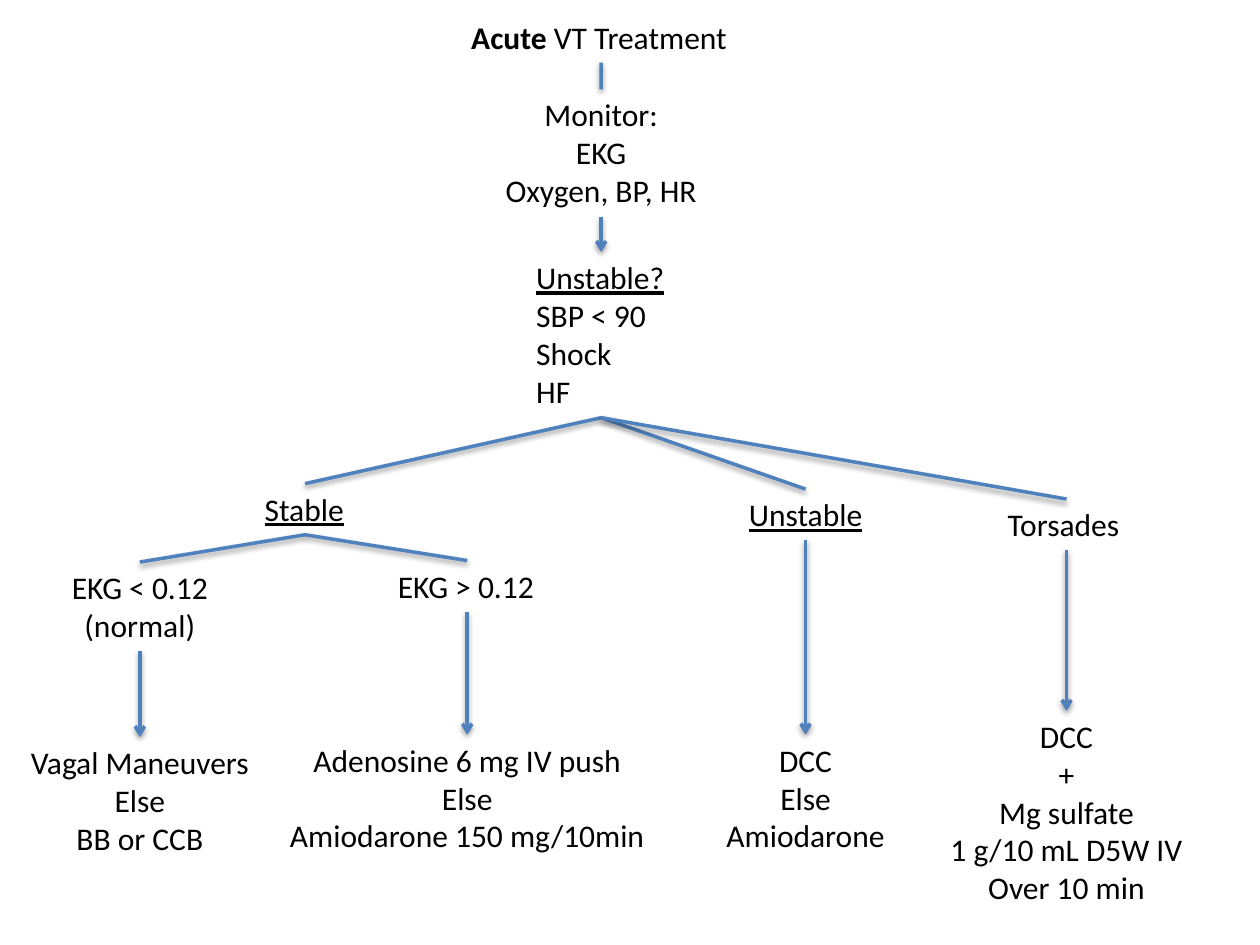
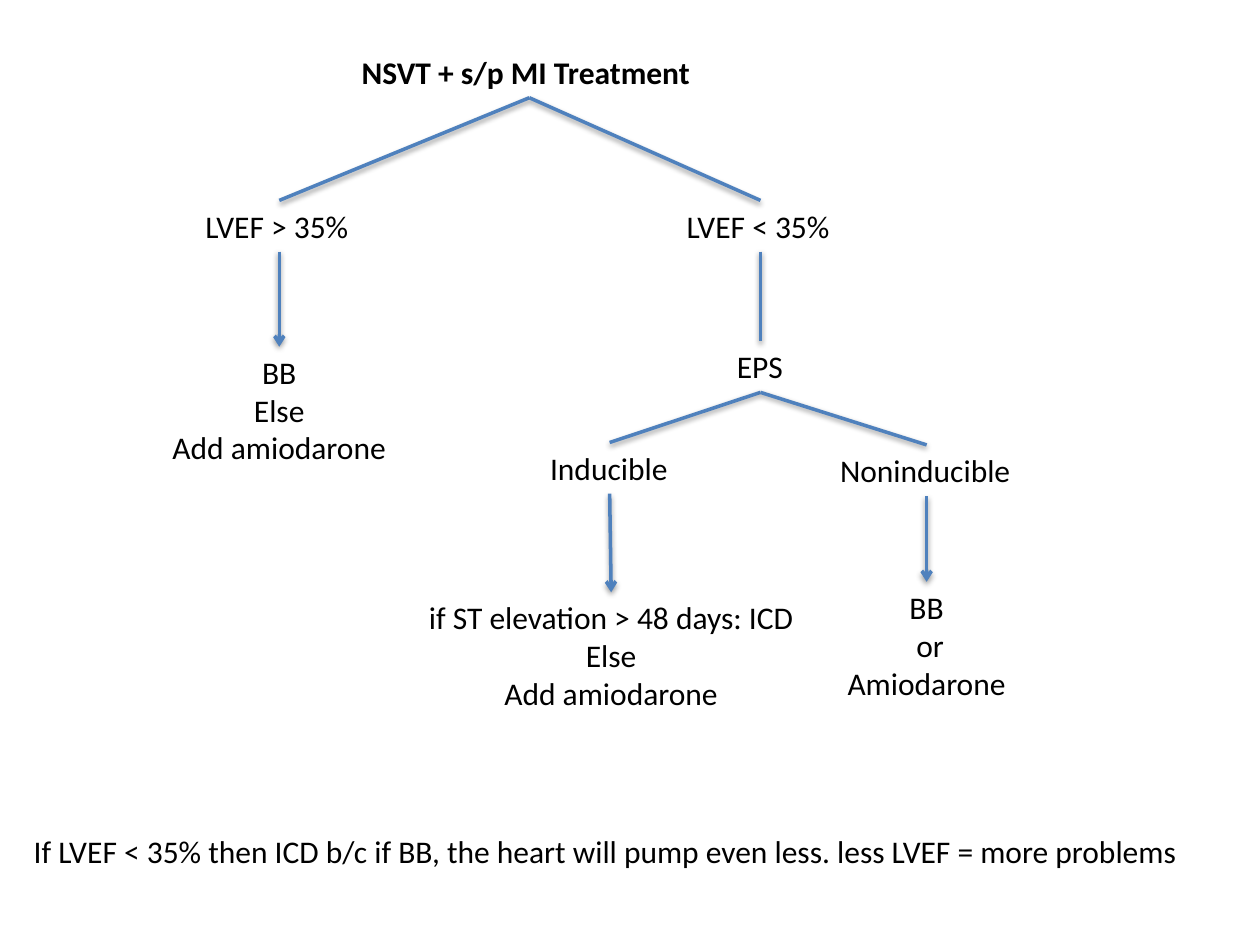
from dataclasses import dataclass

from lxml import etree
from pptx import Presentation
from pptx.dml.color import RGBColor
from pptx.enum.shapes import MSO_CONNECTOR
from pptx.enum.text import MSO_AUTO_SIZE, PP_ALIGN
from pptx.oxml.ns import qn
from pptx.util import Cm, Pt

LEFT, MID = PP_ALIGN.LEFT, PP_ALIGN.CENTER
GROW = MSO_AUTO_SIZE.SHAPE_TO_FIT_TEXT
STRAIGHT = MSO_CONNECTOR.STRAIGHT
TOP_SITE, LOW_SITE = 0, 2

FONT, SIZE = "Calibri", 18
INK, BLUE = "000000", "4F81BD"
PAD, ROW = 0.26, 0.77  # box height: padding plus text rows, in cm


@dataclass
class Node:
    """x is the centre and y the top, in cm from the root of the tree.

    Each line is a string, or a list of (text, marks) runs,
    where marks may hold b for bold and u for underline.
    """
    name: str
    x: float
    y: float
    width: float
    lines: list
    parent: str = ""
    arrow: bool = False
    align: int = MID


ACUTE = [
    Node("title", 0, 0, 5.74, [[("Acute", "b"), (" VT Treatment", "")]],
         align=LEFT),
    Node("monitor", 0, 1.57, 4.5, ["Monitor:", "EKG", "Oxygen, BP, HR"],
         "title"),
    Node("check", 0, 4.85, 3.12,
         [[("Unstable?", "u")], "SBP < 90", "Shock", "HF"],
         "monitor", True, LEFT),
    Node("stable", -5.97, 9.52, 2.13, [[("Stable", "u")]], "check",
         align=LEFT),
    Node("unstable", 4.12, 9.63, 2.84, [[("Unstable", "u")]], "check"),
    Node("torsades", 9.38, 9.83, 2.87, ["Torsades"], "check", align=LEFT),
    Node("narrow", -9.3, 11.1, 3.3, ["EKG < 0.12", "(normal)"], "stable"),
    Node("wide", -2.7, 11.07, 3.3, ["EKG > 0.12"], "stable", align=LEFT),
    Node("vagal", -9.3, 14.63, 5, ["Vagal Maneuvers", "Else", "BB or CCB"],
         "narrow", True),
    Node("drugs", -2.7, 14.58, 7.72,
         ["Adenosine 6 mg IV push", "Else", "Amiodarone 150 mg/10min"],
         "wide", True),
    Node("shock", 4.12, 14.58, 5.77, ["DCC", "Else", "Amiodarone"],
         "unstable", True),
    Node("sulfate", 9.38, 14.1, 5.21,
         ["DCC", "+", "Mg sulfate", "1 g/10 mL D5W IV", "Over 10 min"],
         "torsades", True),
]

POST_MI = [
    Node("title", 0, 0, 7.26, [[("NSVT + s/p MI Treatment", "b")]],
         align=LEFT),
    Node("high", -5.04, 3.1, 3.48, ["LVEF > 35%"], "title", align=LEFT),
    Node("low", 4.66, 3.1, 3.48, ["LVEF < 35%"], "title", align=LEFT),
    Node("block", -5.04, 6.05, 4.88, ["BB", "Else", "Add amiodarone"],
         "high", True),
    Node("study", 4.66, 5.94, 1.45, ["EPS"], "low", align=LEFT),
    Node("induce", 1.62, 7.98, 2.9, ["Inducible"], "study", align=LEFT),
    Node("none", 8.01, 8.03, 3.99, ["Noninducible"], "study", align=LEFT),
    Node("device", 1.65, 11, 7.98,
         ["if ST elevation > 48 days: ICD", "Else", "Add amiodarone"],
         "induce", True),
    Node("either", 8.01, 10.79, 3.73, ["BB", " or", "Amiodarone"],
         "none", True),
]

NOTE = ("If LVEF < 35% then ICD b/c if BB, the heart will pump even less. "
        "less LVEF = more problems")


def paint(target, code):
    target.rgb = RGBColor.from_string(code)


def write(slide, left, top, width, lines, align=LEFT, wrap=False):
    """Add a text box whose height follows from its lines."""
    box = slide.shapes.add_textbox(
        Cm(left), Cm(top), Cm(width), Cm(PAD + ROW * len(lines)))
    frame = box.text_frame
    frame.word_wrap = wrap
    frame.auto_size = GROW
    for i, line in enumerate(lines):
        para = frame.add_paragraph() if i else frame.paragraphs[0]
        para.alignment = align
        for text, marks in [(line, "")] if isinstance(line, str) else line:
            run = para.add_run()
            run.text = text
            font = run.font
            font.name, font.size = FONT, Pt(SIZE)
            font.bold = "b" in marks
            font.underline = "u" in marks
            paint(font.color, INK)
    return box


def shade(link):
    """Give a connector a soft shadow straight below it."""
    props = link._element.spPr
    effects = etree.SubElement(props, qn("a:effectLst"))
    drop = etree.SubElement(
        effects, qn("a:outerShdw"), blurRad="40000", dist="20000",
        dir="5400000", rotWithShape="0")
    tone = etree.SubElement(drop, qn("a:srgbClr"), val=INK)
    etree.SubElement(tone, qn("a:alpha"), val="38000")


def join(slide, upper, lower, arrow):
    link = slide.shapes.add_connector(STRAIGHT, 0, 0, 0, 0)
    link.begin_connect(upper, LOW_SITE)
    link.end_connect(lower, TOP_SITE)
    link.line.width = Pt(2)
    paint(link.line.color, BLUE)
    if arrow:
        etree.SubElement(link.line._get_or_add_ln(), qn("a:tailEnd"),
                         type="arrow")
    shade(link)


def tree(slide, left, top, nodes):
    """Draw nodes around a root centred at left, and join each to its parent."""
    boxes = {}
    for node in nodes:
        boxes[node.name] = write(
            slide, left + node.x - node.width / 2, top + node.y,
            node.width, node.lines, node.align)
        if node.parent:
            join(slide, boxes[node.parent], boxes[node.name], node.arrow)


def main():
    deck = Presentation()
    deck.slide_width, deck.slide_height = Cm(25.4), Cm(19.05)
    blank = deck.slide_layouts[6]
    tree(deck.slides.add_slide(blank), 12.12, 0.23, ACUTE)
    second = deck.slides.add_slide(blank)
    tree(second, 10.67, 0.94, POST_MI)
    write(second, 0.43, 16.64, 23.75, [NOTE], wrap=True)
    deck.save("out.pptx")


if __name__ == "__main__":
    main()
